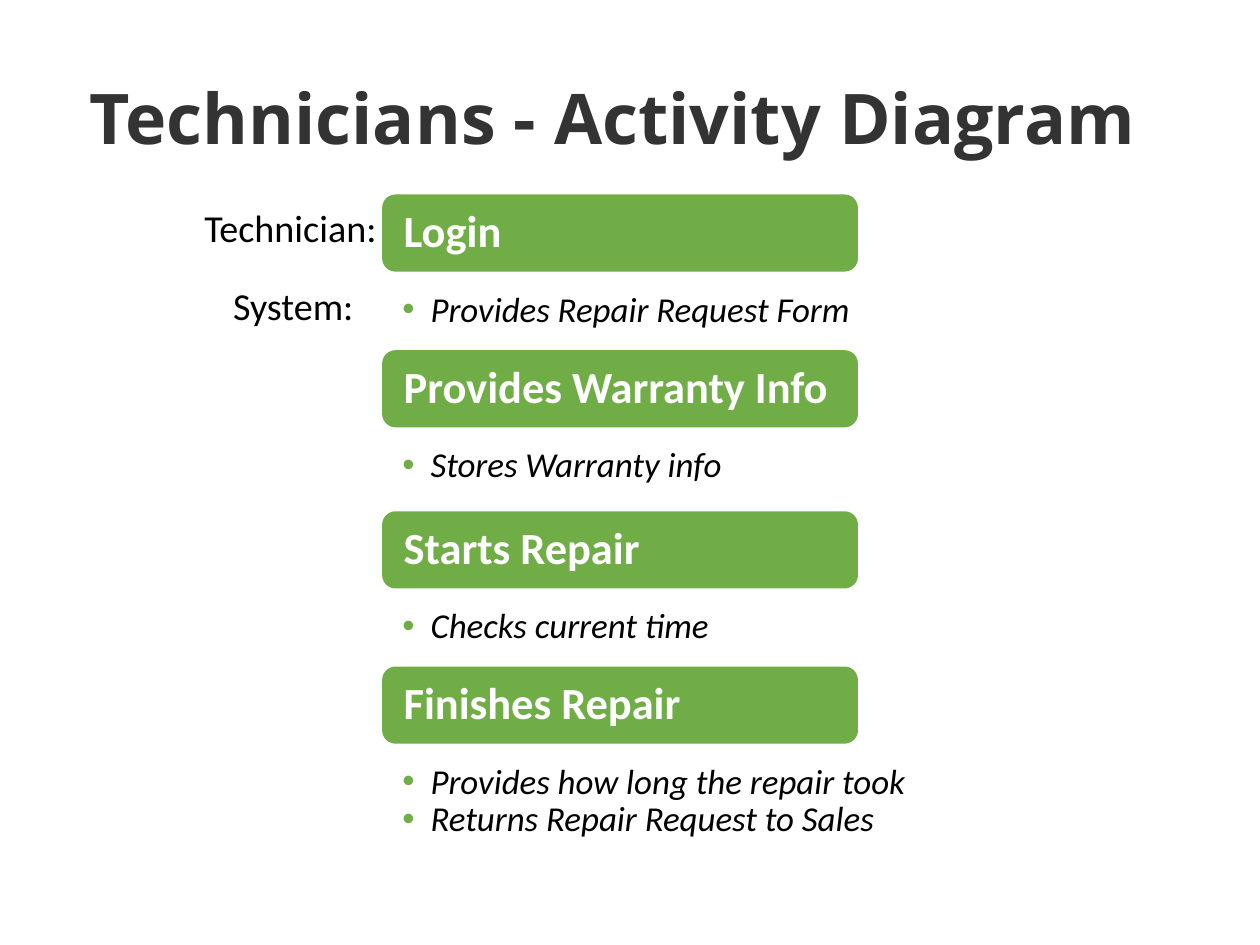
import pptx
import pptx.dml.color
import pptx.enum.shapes
import pptx.enum.text
import pptx.oxml.ns
import pptx.util
from lxml import etree

Cm = pptx.util.Cm
COLORS = {"title": "333333", "bar": "70AD47", "bar_text": "FFFFFF", "text": "000000"}
BAR_LEFT, BAR_WIDTH, BAR_HEIGHT = 8.51, 10.54, 1.68
NOTE_OFFSET = 2.05

# bar top, technician step, system responses, note width, note height
STEPS = [
    (4.34, "Login", ["Provides Repair Request Form"], 10.97, 1.42),
    (7.8, "Provides Warranty Info", ["Stores Warranty info"], 10.97, 1.42),
    (11.38, "Starts Repair", ["Checks current time"], 10.97, 1.42),
    (14.83, "Finishes Repair",
     ["Provides how long the repair took", "Returns Repair Request to Sales"], 12.57, 2.31),
]
LABELS = [("Technician:", 4.29, 4.42, 4.6), ("System:", 4.93, 6.15, 3.86)]


def rgb(name):
    return pptx.dml.color.RGBColor.from_string(COLORS[name])


def fill_text(shape, lines, size, color, font="Calibri", bold=False, italic=False,
              insets=(0.25, 0.13, 0.25, 0.13), middle=False, spacing=None):
    """Write the lines into the shape, one paragraph each, in a single style."""
    tf = shape.text_frame
    tf.word_wrap = True
    tf.margin_left, tf.margin_top, tf.margin_right, tf.margin_bottom = map(Cm, insets)
    anchor = pptx.enum.text.MSO_ANCHOR
    tf.vertical_anchor = anchor.MIDDLE if middle else anchor.TOP
    tf.text = "\n".join(lines)
    for p in tf.paragraphs:
        p.alignment = pptx.enum.text.PP_ALIGN.LEFT
        if spacing:
            p.line_spacing = spacing
        for r in p.runs:
            r.font.name = font
            r.font.size = pptx.util.Pt(size)
            r.font.bold = bold
            r.font.italic = italic
            r.font.color.rgb = rgb(color)
    return tf


def add_bullet(p):
    p.level = 1
    pPr = p._p.get_or_add_pPr()
    pPr.set("marL", str(Cm(0.63)))
    pPr.set("indent", str(-Cm(0.63)))
    qn = pptx.oxml.ns.qn
    color = etree.SubElement(pPr, qn("a:buClr"))
    etree.SubElement(color, qn("a:srgbClr")).set("val", COLORS["bar"])
    etree.SubElement(pPr, qn("a:buFont")).set("typeface", "Arial")
    etree.SubElement(pPr, qn("a:buChar")).set("char", "•")


def add_title(s, left, top, width, height):
    box = s.shapes.add_textbox(Cm(left), Cm(top), Cm(width), Cm(height))
    fill_text(box, ["Technicians - Activity Diagram"], 44, "title", font="Open Sans",
              bold=True, insets=(0, 0, 0, 0), middle=True)


def add_step(s, left, top, name, responses, note_width, note_height):
    """Place a technician step bar with the system's responses under it."""
    bar = s.shapes.add_shape(pptx.enum.shapes.MSO_SHAPE.ROUNDED_RECTANGLE,
                             Cm(left), Cm(top), Cm(BAR_WIDTH), Cm(BAR_HEIGHT))
    bar.shadow.inherit = False
    bar.fill.solid()
    bar.fill.fore_color.rgb = rgb("bar")
    bar.line.color.rgb = rgb("bar")
    bar.line.width = pptx.util.Pt(1)
    fill_text(bar, [name], 28, "bar_text", bold=True,
              insets=(0.38, 0.38, 0.3, 0.38), middle=True, spacing=0.9)

    note = s.shapes.add_textbox(Cm(left), Cm(top + NOTE_OFFSET),
                                Cm(note_width), Cm(note_height))
    tf = fill_text(note, responses, 22, "text", italic=True,
                   insets=(0.43, 0.1, 0.55, 0.1), spacing=0.9)
    for p in tf.paragraphs:
        add_bullet(p)


def add_label(s, text, left, top, width):
    box = s.shapes.add_textbox(Cm(left), Cm(top), Cm(width), Cm(1.27))
    fill_text(box, [text], 24, "text")


def main():
    prs = pptx.Presentation()
    prs.slide_width, prs.slide_height = Cm(28), Cm(21)
    s = prs.slides.add_slide(prs.slide_layouts[6])
    add_title(s, 2, 0.84, 24.6, 3.5)
    for top, name, responses, width, height in STEPS:
        add_step(s, BAR_LEFT, top, name, responses, width, height)
    for label in LABELS:
        add_label(s, *label)
    prs.save("out.pptx")


if __name__ == "__main__":
    main()
